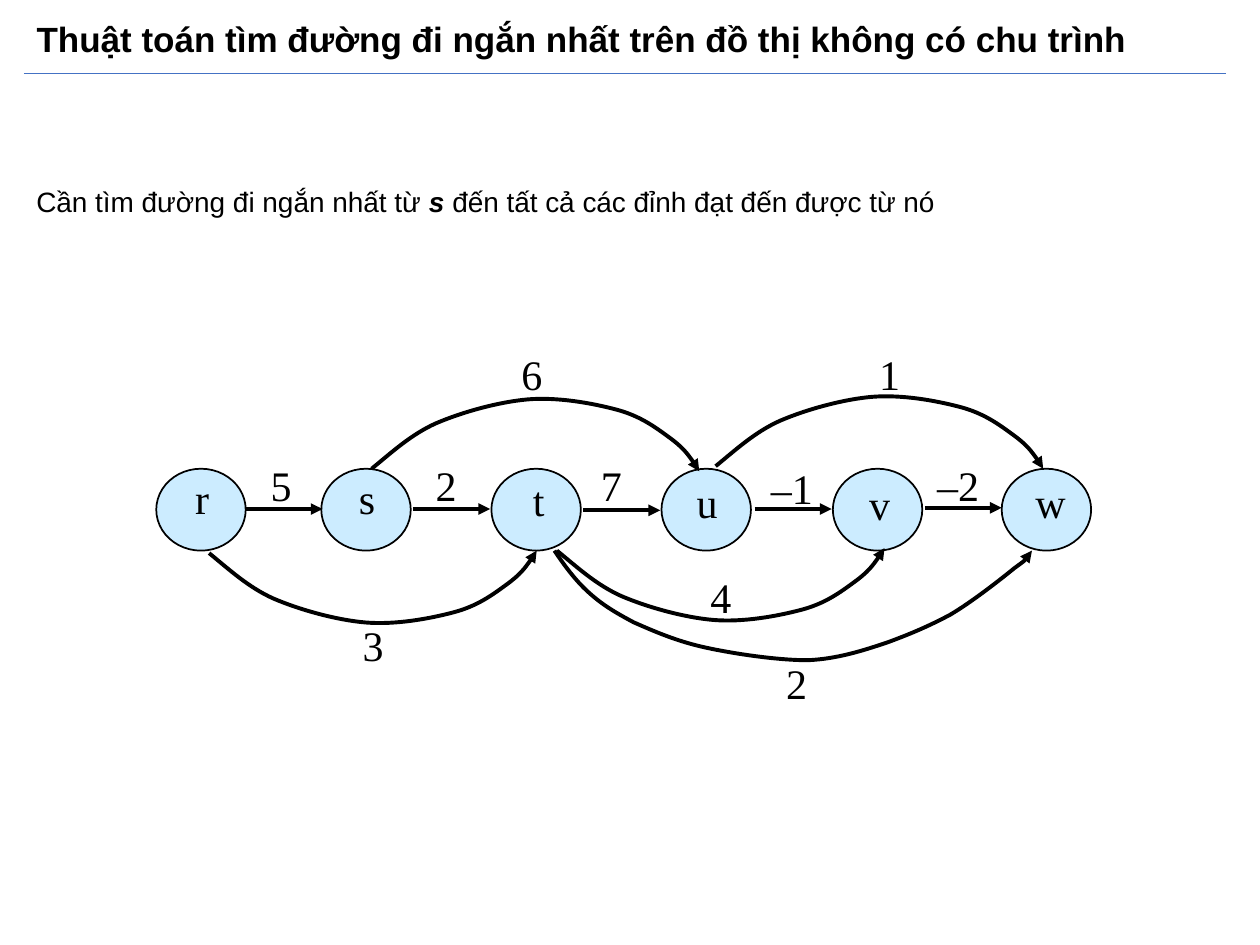
from lxml import etree
from pptx import Presentation
from pptx.dml.color import RGBColor
from pptx.enum.shapes import MSO_CONNECTOR, MSO_SHAPE
from pptx.enum.text import MSO_ANCHOR, MSO_AUTO_SIZE, PP_ALIGN
from pptx.oxml.ns import qn
from pptx.util import Inches, Pt

STRAIGHT = MSO_CONNECTOR.STRAIGHT
OVAL = MSO_SHAPE.OVAL
MIDDLE = MSO_ANCHOR.MIDDLE
NO_AUTOFIT = MSO_AUTO_SIZE.NONE
FIT_SHAPE = MSO_AUTO_SIZE.SHAPE_TO_FIT_TEXT
LEFT = PP_ALIGN.LEFT
BLACK = RGBColor(0x00, 0x00, 0x00)
NODE_BLUE = RGBColor(0xCC, 0xEC, 0xFF)
RULE_BLUE = RGBColor(0x44, 0x72, 0xC4)
MARGIN, CONTENT_WIDTH = 0.19, 9.54
NODE_TOP, NODE_WIDTH, NODE_HEIGHT = 3.72, 0.71, 0.65
EDGE_LENGTH = 0.61

presentation = Presentation()
presentation.slide_width = Inches(10)
presentation.slide_height = Inches(7.5)
slide = presentation.slides.add_slide(presentation.slide_layouts[5])
shapes = slide.shapes


def style_line(shape, color, width, arrow=False):
    shape.line.color.rgb = color
    shape.line.width = Pt(width)
    properties = shape.line._get_or_add_ln()
    if arrow:
        etree.SubElement(properties, qn("a:tailEnd"), type="triangle")
    properties.addnext(etree.Element(qn("a:effectLst")))


def add_text(left, top, width, height, runs, font_name, size):
    box = shapes.add_textbox(Inches(left), Inches(top), Inches(width), Inches(height))
    box.text_frame.word_wrap = True
    for text, emphasis in runs:
        run = box.text_frame.paragraphs[0].add_run()
        run.text = text
        run.font.name = font_name
        run.font.size = Pt(size)
        run.font.color.rgb = BLACK
        run.font.bold = run.font.italic = emphasis
    return box


title = shapes.title
title.left, title.top = Inches(MARGIN), Inches(0.08)
title.width, title.height = Inches(CONTENT_WIDTH), Inches(0.5)
title.text_frame.text = "Thuật toán tìm đường đi ngắn nhất trên đồ thị không có chu trình"
title.text_frame.vertical_anchor = MIDDLE
title.text_frame.auto_size = NO_AUTOFIT
paragraph = title.text_frame.paragraphs[0]
paragraph.alignment = LEFT
paragraph.line_spacing = 0.9
font = paragraph.runs[0].font
font.name, font.size, font.bold = "Arial", Pt(20), True
font.color.rgb = BLACK

rule = shapes.add_connector(
    STRAIGHT, Inches(MARGIN), Inches(0.58), Inches(MARGIN + CONTENT_WIDTH), Inches(0.58))
style_line(rule, RULE_BLUE, 0.5)

for left in (1.24, 2.55, 3.9, 5.25, 6.61, 7.95):
    node = shapes.add_shape(
        OVAL, Inches(left), Inches(NODE_TOP), Inches(NODE_WIDTH), Inches(NODE_HEIGHT))
    node.fill.solid()
    node.fill.fore_color.rgb = NODE_BLUE
    style_line(node, BLACK, 1)

for left, top in ((1.95, 4.04), (7.34, 4.03), (5.99, 4.04), (4.63, 4.05), (3.28, 4.04)):
    edge = shapes.add_connector(
        STRAIGHT, Inches(left), Inches(top), Inches(left + EDGE_LENGTH), Inches(top))
    style_line(edge, BLACK, 2.25, arrow=True)

short_arc = [
    (0.16, 0.13), (0.31, 0.27), (0.51, 0.36),
    (0.72, 0.45), (1.01, 0.53), (1.24, 0.55),
    (1.48, 0.57), (1.75, 0.52), (1.94, 0.47),
    (2.13, 0.42), (2.25, 0.33), (2.36, 0.25),
    (2.47, 0.17), (2.54, 0.08), (2.6, -0.02),
]
long_arc = [
    (0.08, 0.12), (0.17, 0.24), (0.27, 0.33),
    (0.38, 0.43), (0.48, 0.49), (0.63, 0.57),
    (0.79, 0.64), (0.97, 0.72), (1.2, 0.77),
    (1.43, 0.82), (1.77, 0.87), (2.01, 0.87),
    (2.25, 0.86), (2.46, 0.79), (2.64, 0.73),
    (2.83, 0.66), (2.97, 0.6), (3.14, 0.51),
    (3.31, 0.41), (3.54, 0.23), (3.65, 0.14),
    (3.76, 0.06), (3.78, 0.03), (3.79, 0),
]
arcs = [
    (2.95, 3.72, -1, short_arc),
    (5.68, 3.7, -1, short_arc),
    (1.66, 4.39, 1, short_arc),
    (4.42, 4.37, 1, short_arc),
    (4.4, 4.37, 1, long_arc),
]
for left, top, direction, controls in arcs:
    builder = shapes.build_freeform(Inches(left), Inches(top))
    builder.add_line_segments(
        [(Inches(left + x), Inches(top + direction * y)) for x, y in controls], close=False)
    arc = builder.convert_to_shape()
    segments = list(arc._element.iter(qn("a:lnTo")))
    for first in range(0, len(segments), 3):
        curve = etree.Element(qn("a:cubicBezTo"))
        segments[first].addprevious(curve)
        for segment in segments[first:first + 3]:
            curve.append(segment[0])
            segment.getparent().remove(segment)
    arc.fill.background()
    style_line(arc, BLACK, 2.25, arrow=True)

labels = [
    ("r", 1.45, 3.7, 0.31), ("s", 2.75, 3.7, 0.33), ("t", 4.13, 3.72, 0.29),
    ("u", 5.43, 3.73, 0.36), ("v", 6.8, 3.75, 0.36), ("w", 8.12, 3.73, 0.43),
    ("5", 2.05, 3.6, 0.36), ("2", 3.36, 3.6, 0.36), ("7", 4.67, 3.6, 0.36),
    ("–1", 6.02, 3.62, 0.9), ("–2", 7.34, 3.6, 0.73),
    ("6", 4.04, 2.72, 0.36), ("1", 6.88, 2.72, 0.36), ("3", 2.78, 4.87, 0.36),
    ("2", 6.14, 5.17, 0.36), ("4", 5.54, 4.49, 0.36),
]
for text, left, top, width in labels:
    label = add_text(left, top, width, 0.5, [(text, False)], "Times New Roman", 24)
    label.text_frame.auto_size = FIT_SHAPE

statement = add_text(MARGIN, 1.1, CONTENT_WIDTH, 1, [
    ("Cần tìm đường đi ngắn nhất từ ", False),
    ("s ", True),
    ("đến tất cả các đỉnh đạt đến được từ nó", False),
], "Arial", 16)
statement.text_frame.vertical_anchor = MIDDLE

presentation.save("out.pptx")
